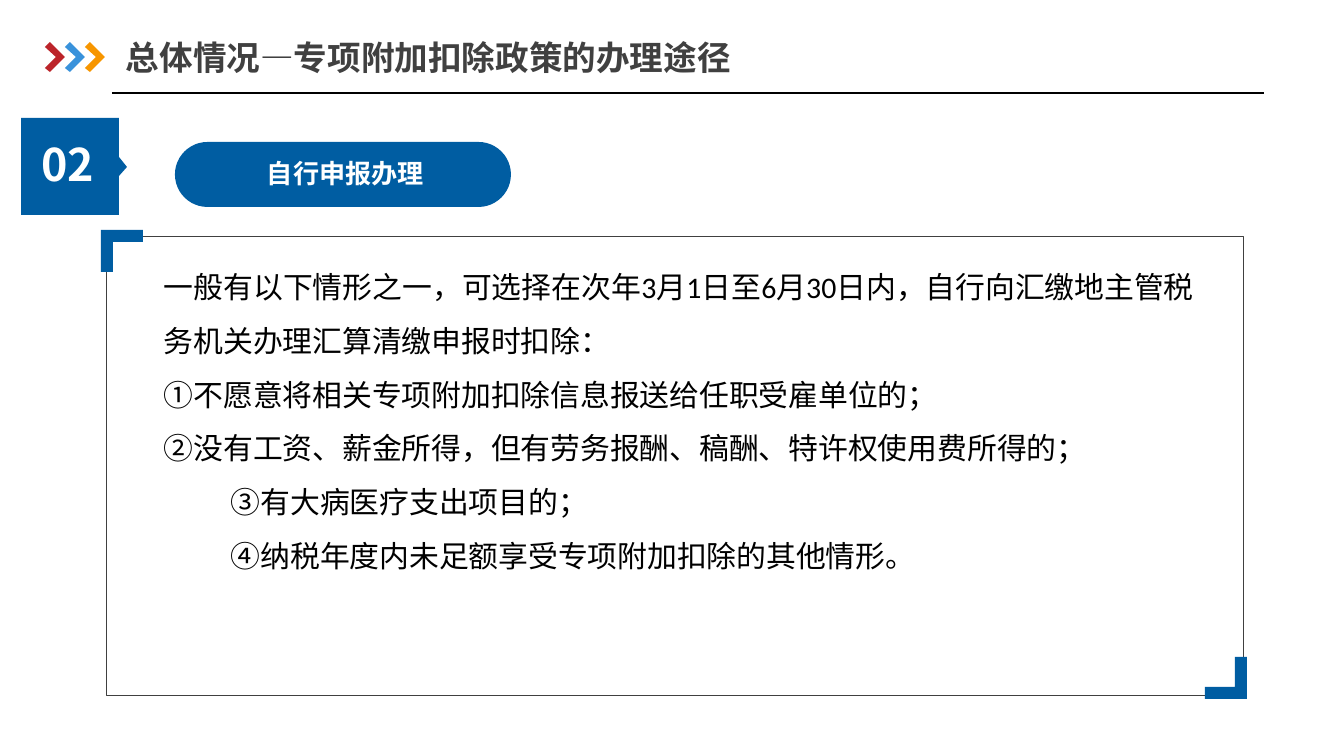
from lxml.etree import SubElement
from pptx import Presentation
from pptx.dml.color import RGBColor
from pptx.enum.shapes import MSO_CONNECTOR, MSO_SHAPE
from pptx.enum.text import MSO_ANCHOR, PP_ALIGN
from pptx.oxml.ns import qn
from pptx.util import Pt

EMU_PER_PX = 914400 / 134.4
SLIDE_SIZE = (1344, 756)
BLUE, GREY, WHITE, BLACK = "005DA2", "404040", "FFFFFF", "000000"
HEADING_FONT, BODY_FONT = "Noto Sans CJK SC", "Calibri"

TITLE = "总体情况—专项附加扣除政策的办理途径"
SECTION_NUMBER = "02"
SECTION_NAME = "自行申报办理"
INDENT = 67
BODY = [  # text, left indent
    ("一般有以下情形之一，可选择在次年3月1日至6月30日内，自行向汇缴地主管税务机关办理汇算清缴申报时扣除：", 0),
    ("①不愿意将相关专项附加扣除信息报送给任职受雇单位的；", 0),
    ("②没有工资、薪金所得，但有劳务报酬、稿酬、特许权使用费所得的；", 0),
    ("③有大病医疗支出项目的；", INDENT),
    ("④纳税年度内未足额享受专项附加扣除的其他情形。", INDENT),
]

CHEVRON = [(50, 72), (45, 68), (56, 57), (45, 47), (50, 42), (65, 57)]
CHEVRON_STEP = 20
CHEVRON_COLORS = ["BC242A", "3992DB", "F79600"]
CORNER = [(0, 0), (42, 0), (42, 12), (12, 12), (12, 42), (0, 42)]
CORNERS = [(101, 230, 1), (1247, 699, -1)]  # tip x, tip y, direction
BADGE = [(21, 118), (119, 118), (119, 157), (127, 167), (119, 176), (119, 215), (21, 215)]


def px(value):
    return round(value * EMU_PER_PX)


def rgb(color):
    return RGBColor.from_string(color)


def paint(shape, fill=None, line=None):
    shape.shadow.inherit = False
    if fill:
        shape.fill.solid()
        shape.fill.fore_color.rgb = rgb(fill)
    else:
        shape.fill.background()
    if line:
        shape.line.color.rgb = rgb(line)
        shape.line.width = Pt(0.25)
    else:
        shape.line.fill.background()


def add_outline(slide, points, fill):
    builder = slide.shapes.build_freeform(*points[0], scale=EMU_PER_PX)
    builder.add_line_segments(points[1:], close=True)
    paint(builder.convert_to_shape(), fill)


def add_panel(slide, box, rounding, fill=None, line=None):
    shape = slide.shapes.add_shape(MSO_SHAPE.ROUNDED_RECTANGLE, *map(px, box))
    shape.adjustments[0] = rounding
    paint(shape, fill, line)


def add_text(slide, box, lines, size, color, font=HEADING_FONT, bold=True,
             align=PP_ALIGN.CENTER, anchor=MSO_ANCHOR.MIDDLE, spacing=None, before=None):
    """Add a text box without margins; lines holds (text, left indent) pairs."""
    frame = slide.shapes.add_textbox(*map(px, box)).text_frame
    frame.word_wrap = True
    frame.vertical_anchor = anchor
    frame.margin_left = frame.margin_right = frame.margin_top = frame.margin_bottom = 0
    for index, (text, indent) in enumerate(lines):
        paragraph = frame.add_paragraph() if index else frame.paragraphs[0]
        paragraph.alignment = align
        paragraph.line_spacing = spacing
        paragraph.space_before = before
        if indent:
            paragraph._p.get_or_add_pPr().set("marL", str(px(indent)))
        run = paragraph.add_run()
        run.text = text
        run.font.size = Pt(size)
        run.font.bold = bold
        run.font.name = font
        run.font.color.rgb = rgb(color)
        SubElement(run._r.get_or_add_rPr(), qn("a:ea")).set("typeface", HEADING_FONT)


def add_rule(slide, start, end):
    rule = slide.shapes.add_connector(MSO_CONNECTOR.STRAIGHT, *map(px, start + end))
    rule.line.color.rgb = rgb(BLACK)
    rule.line.width = Pt(0.75)
    SubElement(rule._element.spPr, qn("a:effectLst"))


def main():
    presentation = Presentation()
    presentation.slide_width, presentation.slide_height = map(px, SLIDE_SIZE)
    slide = presentation.slides.add_slide(presentation.slide_layouts[6])

    add_text(slide, (126, 30, 694, 55), [(TITLE, 0)], 18, GREY, align=PP_ALIGN.LEFT)
    add_rule(slide, (112, 93), (1264, 93))
    for index, color in enumerate(CHEVRON_COLORS):
        add_outline(slide, [(x + index * CHEVRON_STEP, y) for x, y in CHEVRON], color)

    add_panel(slide, (175, 142, 336, 65), 0.5, fill=BLUE)
    add_text(slide, (146, 152, 399, 46), [(SECTION_NAME, 0)], 14, WHITE,
             spacing=0.9, before=Pt(10))

    add_panel(slide, (106, 236, 1137, 459), 0, line=GREY)
    add_text(slide, (164, 251, 1030, 473), BODY, 16, BLACK, font=BODY_FONT, bold=False,
             align=PP_ALIGN.JUSTIFY, anchor=MSO_ANCHOR.TOP, spacing=1.5)
    for left, top, direction in CORNERS:
        add_outline(slide, [(left + direction * x, top + direction * y) for x, y in CORNER], BLUE)

    add_outline(slide, BADGE, BLUE)
    add_text(slide, (30, 137, 75, 54), [(SECTION_NUMBER, 0)], 24, WHITE, anchor=MSO_ANCHOR.TOP)

    presentation.save("out.pptx")


if __name__ == "__main__":
    main()
